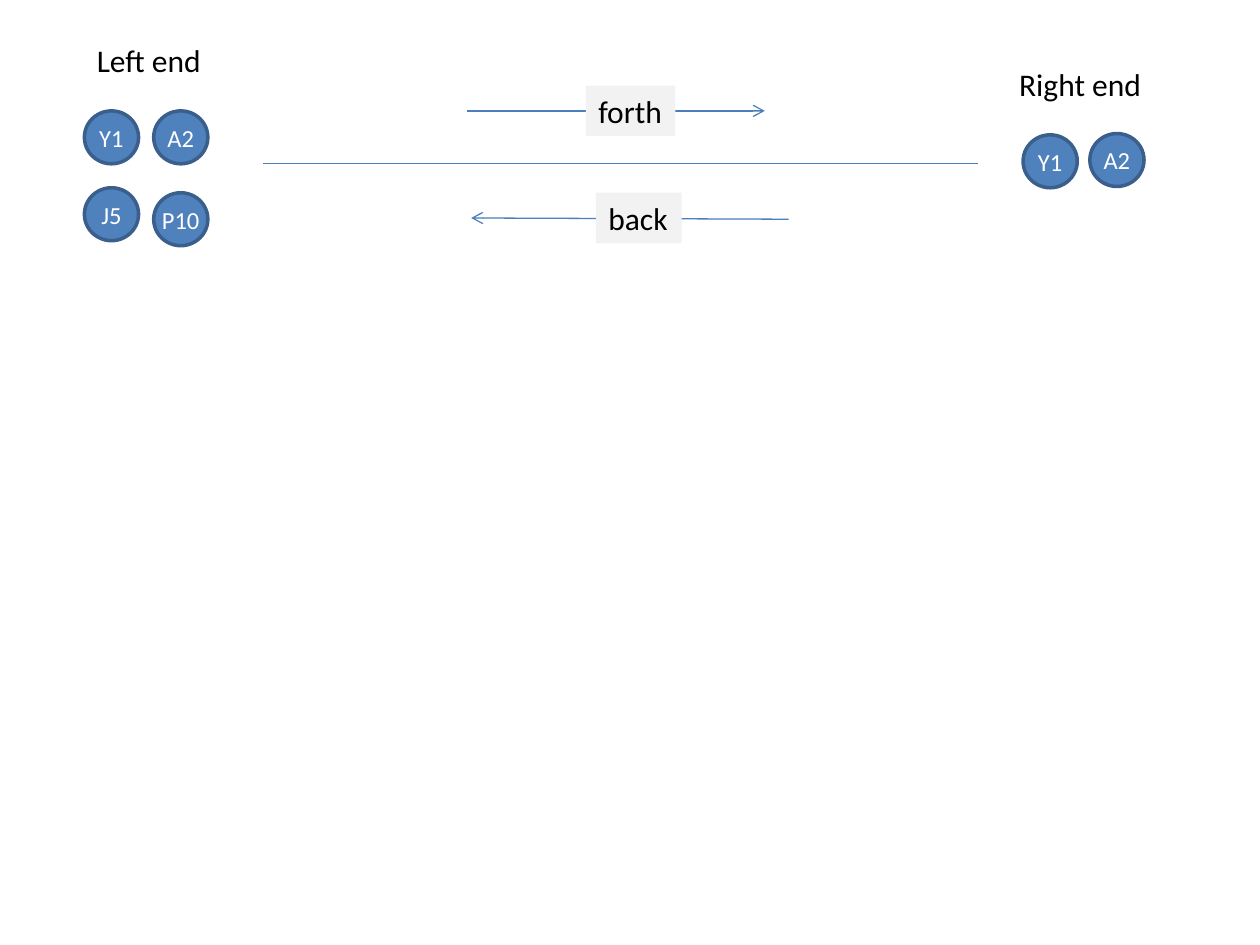
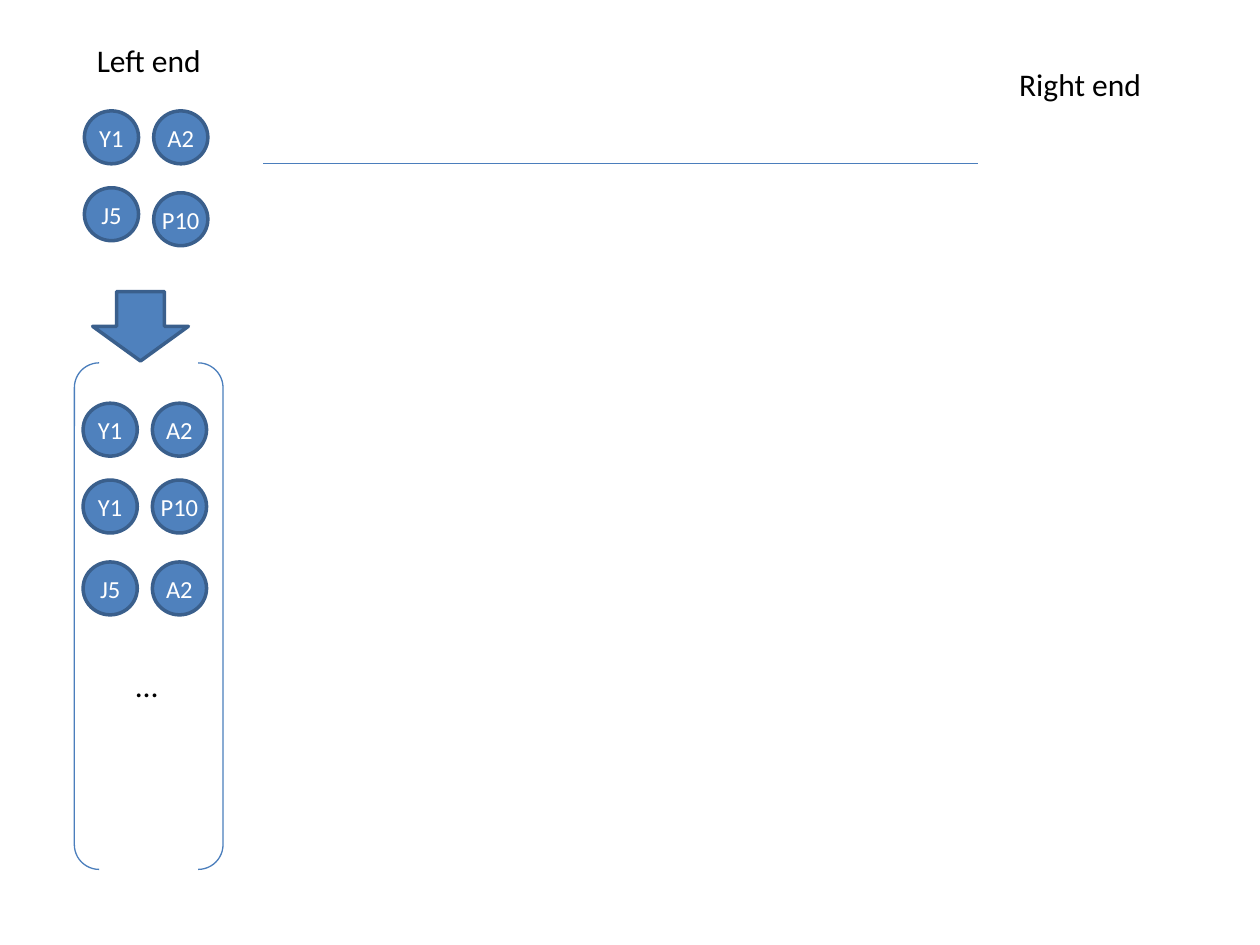
from dataclasses import dataclass

from lxml.etree import SubElement
from pptx import Presentation
from pptx.dml.color import RGBColor
from pptx.enum.shapes import MSO_CONNECTOR, MSO_SHAPE
from pptx.enum.text import MSO_ANCHOR, MSO_AUTO_SIZE, PP_ALIGN
from pptx.oxml.ns import qn
from pptx.util import Inches, Pt


@dataclass(frozen=True)
class Theme:
    font: str = "Calibri"
    ball: RGBColor = RGBColor(0x4F, 0x81, 0xBD)
    outline: RGBColor = RGBColor(0x3A, 0x5F, 0x8C)
    rule: RGBColor = RGBColor(0x4B, 0x7E, 0xBC)
    band: RGBColor = RGBColor(0xF2, 0xF2, 0xF2)
    ink: RGBColor = RGBColor(0, 0, 0)
    paper: RGBColor = RGBColor(0xFF, 0xFF, 0xFF)
    label_size: Pt = Pt(18)
    ball_size: Pt = Pt(14)
    outline_width: Pt = Pt(2)
    rule_width: Pt = Pt(0.75)


theme = Theme()


def add_part(shapes, text, box, preset=None, fill=None):
    left, top, width, height = map(Inches, box)
    if preset is None:
        part = shapes.add_textbox(left, top, width, height)
        size, ink = theme.label_size, theme.ink
    else:
        part = shapes.add_shape(preset, left, top, width, height)
        part.shadow.inherit = False
        part.line.color.rgb = theme.outline if fill else theme.rule
        part.line.width = theme.outline_width if fill else theme.rule_width
        size, ink = theme.ball_size, theme.paper
    if fill:
        part.fill.solid()
        part.fill.fore_color.rgb = fill
    else:
        part.fill.background()
    if text:
        frame = part.text_frame
        frame.word_wrap = False
        paragraph = frame.paragraphs[0]
        if preset is None:
            frame.auto_size = MSO_AUTO_SIZE.SHAPE_TO_FIT_TEXT
        else:
            frame.vertical_anchor = MSO_ANCHOR.MIDDLE
            paragraph.alignment = PP_ALIGN.CENTER
        run = paragraph.add_run()
        run.text = text
        run.font.name = theme.font
        run.font.size = size
        run.font.color.rgb = ink
    return part


def add_rule(shapes, start, end, arrow=False):
    rule = shapes.add_connector(MSO_CONNECTOR.STRAIGHT, *map(Inches, start + end))
    rule.line.color.rgb = theme.rule
    rule.line.width = theme.rule_width
    if arrow:
        SubElement(rule.line._get_or_add_ln(), qn("a:tailEnd"), type="arrow")
    SubElement(rule._element.spPr, qn("a:effectLst"))


ball_width, ball_height = 0.43, 0.42
left_balls = [("Y1", 0.67, 0.88), ("J5", 0.67, 1.49), ("A2", 1.22, 0.88), ("P10", 1.22, 1.53)]
right_balls = [("Y1", 8.12, 1.07), ("A2", 8.65, 1.06)]
end_labels = [("Left end", (0.67, 0.28, 1.04, 0.4)), ("Right end", (7.99, 0.47, 1.18, 0.4))]
directions = [
    ("forth", (4.65, 0.68, 0.71, 0.4), (3.71, 0.88), (6.07, 0.88)),
    ("back", (4.73, 1.53, 0.68, 0.4), (6.26, 1.74), (3.74, 1.73)),
]
pairs = [(3.2, ("Y1", "A2")), (3.81, ("Y1", "P10")), (4.46, ("J5", "A2"))]
pair_left, pair_pitch = 0.66, 0.55

deck = Presentation()
deck.slide_width, deck.slide_height = Inches(10), Inches(7.5)
blank = deck.slide_layouts[6]
exchange, pairing = [deck.slides.add_slide(blank) for _ in range(2)]

for slide, balls in ((exchange, left_balls + right_balls), (pairing, left_balls)):
    add_rule(slide.shapes, (2.09, 1.3), (7.76, 1.3))
    for name, left, top in balls:
        add_part(slide.shapes, name, (left, top, ball_width, ball_height), MSO_SHAPE.OVAL, theme.ball)
    for label, box in end_labels:
        add_part(slide.shapes, label, box)

for label, box, start, end in directions:
    add_rule(exchange.shapes, start, end, arrow=True)
    add_part(exchange.shapes, label, box, fill=theme.band)

possible_pairs = pairing.shapes.add_group_shape().shapes
for top, names in pairs:
    for column, name in enumerate(names):
        box = (pair_left + column * pair_pitch, top, ball_width, ball_height)
        add_part(possible_pairs, name, box, MSO_SHAPE.OVAL, theme.ball)
add_part(possible_pairs, "", (0.59, 2.88, 1.18, 4.02), MSO_SHAPE.DOUBLE_BRACKET)
add_part(possible_pairs, "…", (0.98, 5.24, 0.38, 0.4))
step_down = add_part(possible_pairs, "", (0.84, 2.21, 0.55, 0.76), MSO_SHAPE.RIGHT_ARROW, theme.ball)
step_down.rotation = 90

deck.save("out.pptx")
